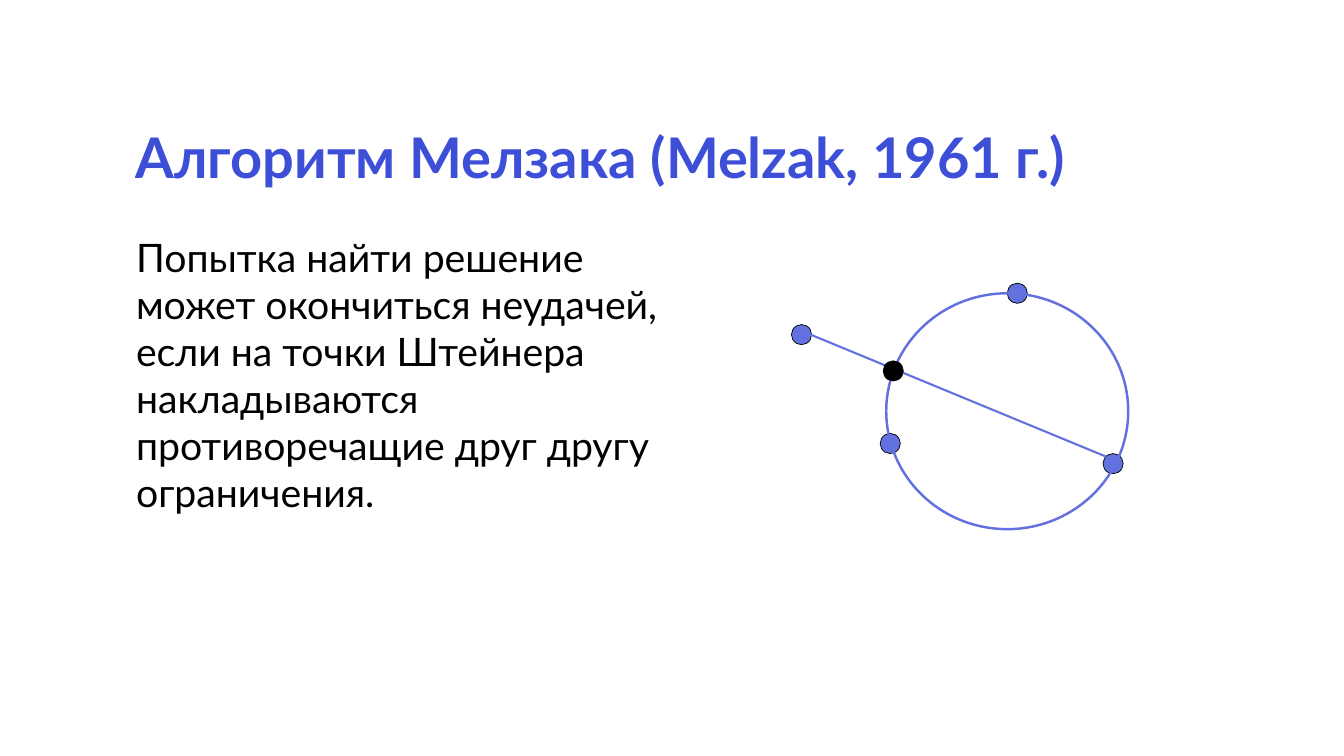
import pptx
import pptx.dml.color
import pptx.enum.shapes
import pptx.enum.text
import pptx.oxml
import pptx.oxml.ns
import pptx.util

Inches, Pt = pptx.util.Inches, pptx.util.Pt
RGBColor = pptx.dml.color.RGBColor
TITLE_BLUE = RGBColor(0x3D, 0x4E, 0xD7)
FIGURE_BLUE = RGBColor(0x63, 0x71, 0xDF)
BLACK = RGBColor(0, 0, 0)
FONT = "Lato"
DOT = 0.2

deck = pptx.Presentation()
deck.slide_width, deck.slide_height = Inches(13.33), Inches(7.5)
page = deck.slides.add_slide(deck.slide_layouts[1])


def fill_placeholder(box, words, bounds, size, color, bold):
    """Place and format a one-paragraph placeholder; return its paragraph."""
    box.left, box.top, box.width, box.height = map(Inches, bounds)
    frame = box.text_frame
    frame.text = words
    frame.word_wrap = True
    frame.auto_size = pptx.enum.text.MSO_AUTO_SIZE.NONE
    frame.vertical_anchor = pptx.enum.text.MSO_ANCHOR.TOP
    para = frame.paragraphs[0]
    para.alignment = pptx.enum.text.PP_ALIGN.LEFT
    para.space_before = Pt(0)
    span = para.runs[0]
    span.font.name, span.font.size, span.font.bold = FONT, Pt(size), bold
    span.font.color.rgb = color
    return para


def add_ellipse(left, top, width, height, fill, line, weight):
    ellipse = page.shapes.add_shape(
        pptx.enum.shapes.MSO_SHAPE.OVAL, *map(Inches, (left, top, width, height)))
    ellipse.shadow.inherit = False
    if fill is None:
        ellipse.fill.background()
    else:
        ellipse.fill.solid()
        ellipse.fill.fore_color.rgb = fill
    ellipse.line.color.rgb = line
    ellipse.line.width = Pt(weight)


heading = fill_placeholder(
    page.shapes.title, "Алгоритм Мелзака (Melzak, 1961 г.)",
    (1.24, 1.24, 10.85, 0.8), 40, TITLE_BLUE, True)
heading.line_spacing = 0.9

explanation = fill_placeholder(
    page.placeholders[1],
    "Попытка найти решение может окончиться неудачей, если на точки Штейнера "
    "накладываются противоречащие друг другу ограничения.",
    (1.25, 2.26, 5.42, 2.93), 28, BLACK, False)
properties = explanation._p.get_or_add_pPr()
properties.set("marL", "0")
properties.set("indent", "0")
properties.append(pptx.oxml.parse_xml(
    f'<a:buNone {pptx.oxml.ns.nsdecls("a")}/>'))

# Blue dots
for left, top in ((7.85, 3.22), (9.99, 2.81), (8.73, 4.3), (10.94, 4.5)):
    add_ellipse(left, top, DOT, DOT, FIGURE_BLUE, BLACK, 0.5)

# Circle and the line across it
add_ellipse(8.79, 2.91, 2.4, 2.34, None, FIGURE_BLUE, 1.75)

crossing_line = page.shapes.add_connector(
    pptx.enum.shapes.MSO_CONNECTOR.STRAIGHT,
    *map(Inches, (10.97, 4.53, 8.04, 3.32)))
crossing_line.line.color.rgb = FIGURE_BLUE
crossing_line.line.width = Pt(1.5)
crossing_line._element.spPr.append(pptx.oxml.parse_xml(
    f'<a:effectLst {pptx.oxml.ns.nsdecls("a")}/>'))

# Black dot where the line meets the circle
add_ellipse(8.76, 3.58, DOT, DOT, BLACK, BLACK, 0.5)

deck.save("out.pptx")
